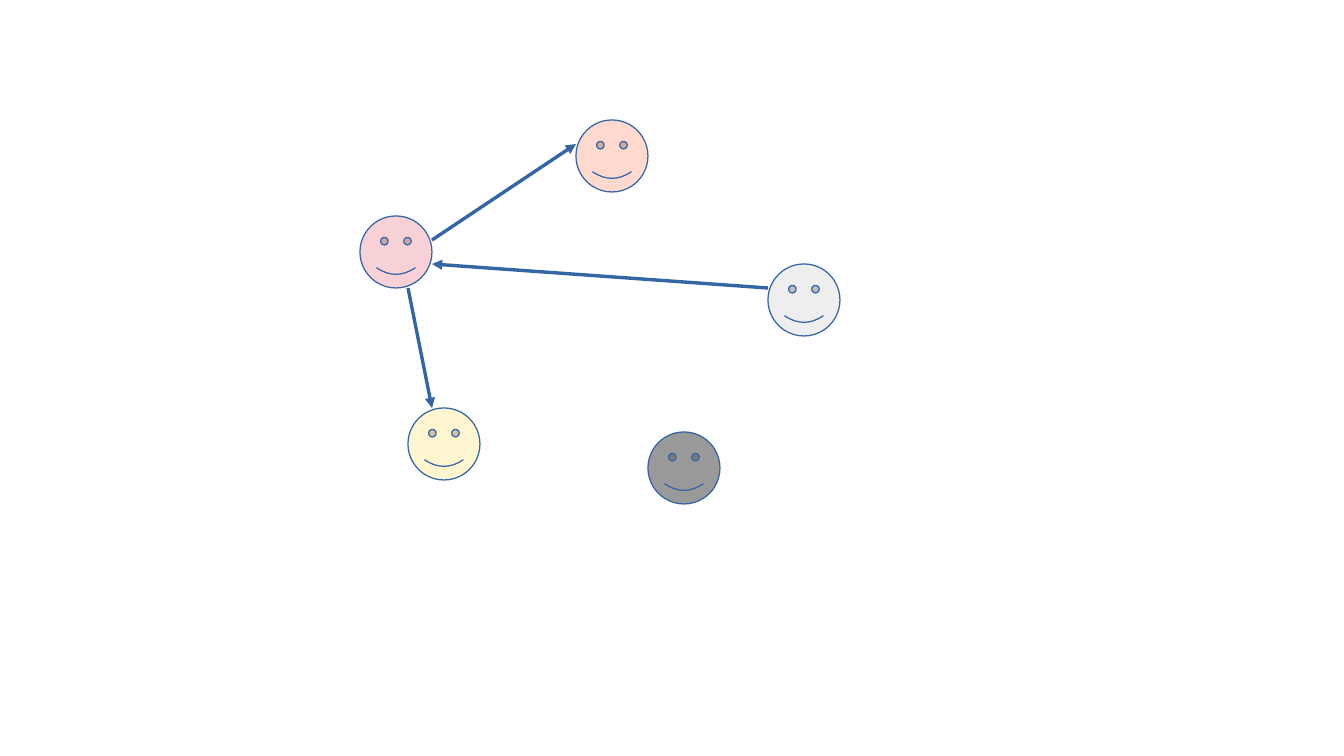
"""Build a slide of five coloured faces joined by three arrows."""
from lxml.etree import SubElement
from pptx import Presentation
from pptx.dml.color import RGBColor
from pptx.enum.shapes import MSO_CONNECTOR as Connector, MSO_SHAPE as Shape
from pptx.oxml.ns import qn
from pptx.util import Cm, Pt

SLIDE_SIZE = (28, 15.75)
FACE_SIZE = 1.5
SMILE = 0.093
LINE_COLOR = "3465A4"
FACES = [
    (12, 2.5, "FFD8CE"),
    (7.5, 4.5, "F7D1D5"),
    (8.5, 8.5, "FFF5CE"),
    (13.5, 9, "999999"),
    (16, 5.5, "EEEEEE"),
]
ARROWS = [
    ((9, 5), (12, 3)),
    ((8.5, 6), (9, 8.5)),
    ((16, 6), (9, 5.5)),
]


def paint(color_format, color):
    color_format.rgb = RGBColor.from_string(color)


def style_line(line):
    line.fill.solid()
    paint(line.color, LINE_COLOR)
    line.width = Pt(0)


def add_face(slide, left, top, color):
    face = slide.shapes.add_shape(
        Shape.SMILEY_FACE, Cm(left), Cm(top), Cm(FACE_SIZE), Cm(FACE_SIZE))
    face.adjustments[0] = SMILE
    face.shadow.inherit = False
    face.fill.solid()
    paint(face.fill.fore_color, color)
    style_line(face.line)


def add_arrow(slide, start, end):
    points = [Cm(value) for value in (*start, *end)]
    arrow = slide.shapes.add_connector(Connector.STRAIGHT, *points)
    style_line(arrow.line)
    properties = arrow.element.spPr
    SubElement(properties.find(qn("a:ln")), qn("a:tailEnd"), type="triangle")
    SubElement(properties, qn("a:effectLst"))


def main():
    presentation = Presentation()
    presentation.slide_width, presentation.slide_height = map(Cm, SLIDE_SIZE)
    slide = presentation.slides.add_slide(presentation.slide_layouts[6])
    for face in FACES:
        add_face(slide, *face)
    for arrow in ARROWS:
        add_arrow(slide, *arrow)
    presentation.save("out.pptx")


if __name__ == "__main__":
    main()
